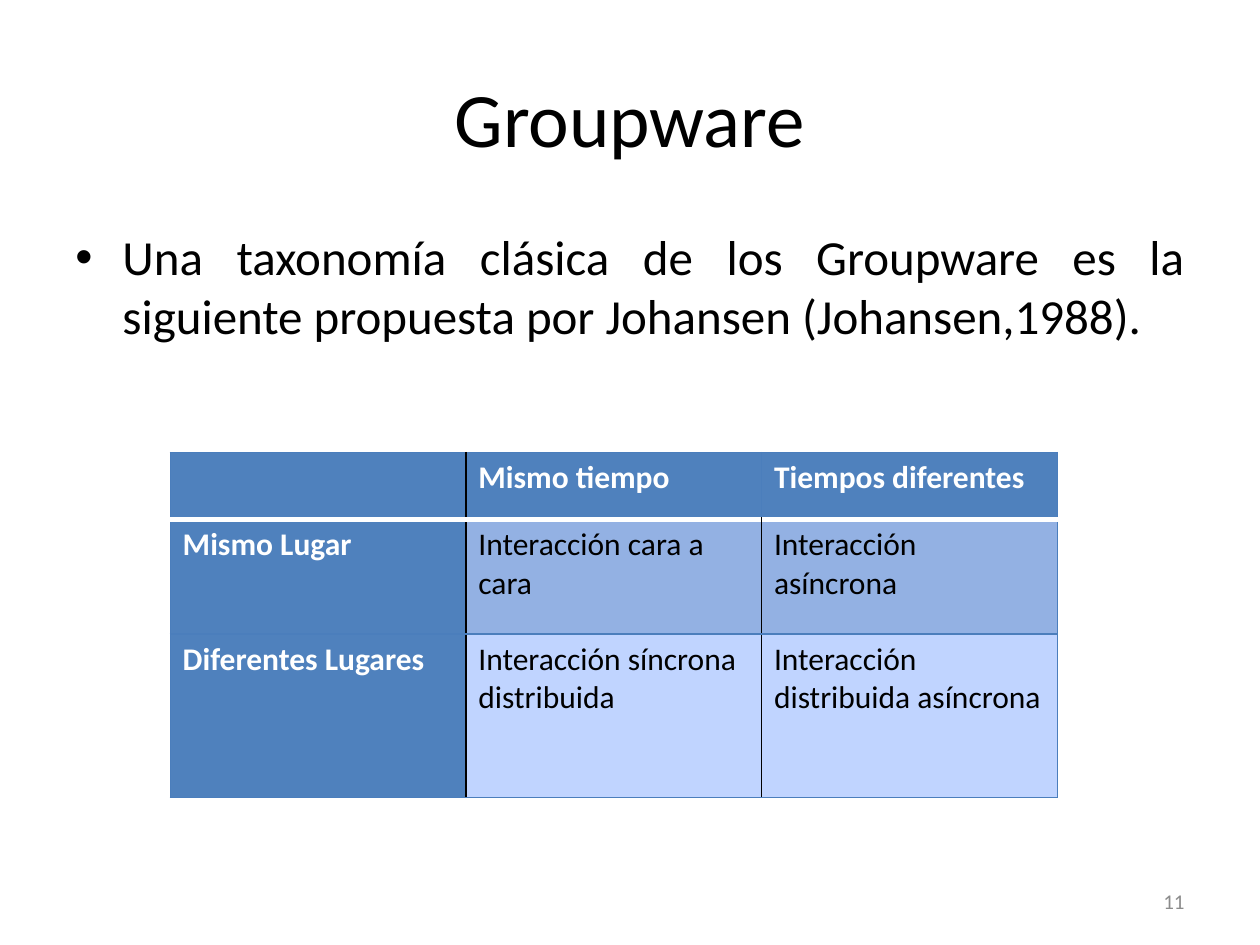
"""Build a slide with a two-by-two groupware taxonomy table."""
from lxml.etree import SubElement
from pptx import Presentation
from pptx.dml.color import RGBColor
from pptx.enum.text import MSO_ANCHOR, PP_ALIGN
from pptx.oxml.ns import qn
from pptx.util import Cm, Pt

BLUE, EDGE, MID, PALE = "4F81BD", "4B7EBC", "93B1E3", "C0D4FF"
BLACK, WHITE, GREY = "000000", "FFFFFF", "8C8C8C"


def rgb(color):
    return RGBColor.from_string(color)


class SlideBuilder:
    font = "Calibri"

    def __init__(self, prs):
        self.slide = prs.slides.add_slide(prs.slide_layouts[6])

    def run(self, p, text, size, color, bold=False):
        r = p.add_run()
        r.text = text
        r.font.name = self.font
        r.font.size = Pt(size)
        r.font.bold = bold
        r.font.color.rgb = rgb(color)

    def text(self, text, box, size, color=BLACK, align=PP_ALIGN.LEFT,
             anchor=MSO_ANCHOR.MIDDLE):
        tf = self.slide.shapes.add_textbox(*map(Cm, box)).text_frame
        tf.word_wrap = True
        tf.vertical_anchor = anchor
        p = tf.paragraphs[0]
        p.alignment = align
        self.run(p, text, size, color)
        return p

    def bullet(self, text, box, size):
        p = self.text(text, box, size, align=PP_ALIGN.JUSTIFY, anchor=MSO_ANCHOR.TOP)
        p.space_before = Pt(size * 0.2)
        pPr = p._p.get_or_add_pPr()
        pPr.set("marL", str(Cm(0.95)))
        pPr.set("indent", str(Cm(-0.95)))
        SubElement(pPr, qn("a:buFont"), typeface="Arial")
        SubElement(pPr, qn("a:buChar"), char="•")

    def border(self, cell, side, color, width):
        ln = SubElement(cell._tc.get_or_add_tcPr(), qn("a:ln" + side), w=str(Pt(width)))
        SubElement(SubElement(ln, qn("a:solidFill")), qn("a:srgbClr"), val=color)

    def table(self, rows, left, top, widths, heights, size):
        frame = self.slide.shapes.add_table(
            len(rows), len(widths), Cm(left), Cm(top), Cm(sum(widths)), Cm(sum(heights)))
        table = frame.table
        for column, width in zip(table.columns, widths):
            column.width = Cm(width)
        for i, (row, height) in enumerate(zip(rows, heights)):
            table.rows[i].height = Cm(height)
            for j, text in enumerate(row):
                self.cell(table.cell(i, j), text, i, j, size)

    def cell(self, cell, text, i, j, size):
        thin, inner, rule = (EDGE, 0.75), (BLACK, 1), (WHITE, 3)
        divider = inner if i else thin
        sides = {
            "L": (thin, inner, divider)[j],
            "R": (inner, divider, thin)[j],
            "T": rule if i == 1 else thin,
            "B": rule if i == 0 else thin,
        }
        for side, (color, width) in sides.items():
            self.border(cell, side, color, width)
        heading = i == 0 or j == 0
        cell.fill.solid()
        cell.fill.fore_color.rgb = rgb(BLUE if heading else (MID, PALE)[i - 1])
        if text:
            self.run(cell.text_frame.paragraphs[0], text, size,
                     WHITE if heading else BLACK, heading)


prs = Presentation()
prs.slide_width, prs.slide_height = Cm(25.4), Cm(19.05)
s = SlideBuilder(prs)
s.text("Groupware", (1.27, 0.76, 22.86, 3.18), 44, align=PP_ALIGN.CENTER)
s.bullet("Una taxonomía clásica de los Groupware es la siguiente propuesta por "
         "Johansen (Johansen,1988).", (1.27, 4.45, 22.86, 12.57), 28)
s.table([
    ("", "Mismo tiempo", "Tiempos diferentes"),
    ("Mismo Lugar", "Interacción cara a cara", "Interacción asíncrona"),
    ("Diferentes Lugares", "Interacción síncrona distribuida",
     "Interacción distribuida asíncrona"),
], 3.43, 9.12, [5.96] * 3, [1.35, 2.31, 3.3], 18)
s.text("11", (18.2, 17.66, 5.93, 1.01), 12, GREY, PP_ALIGN.RIGHT)
prs.save("out.pptx")
